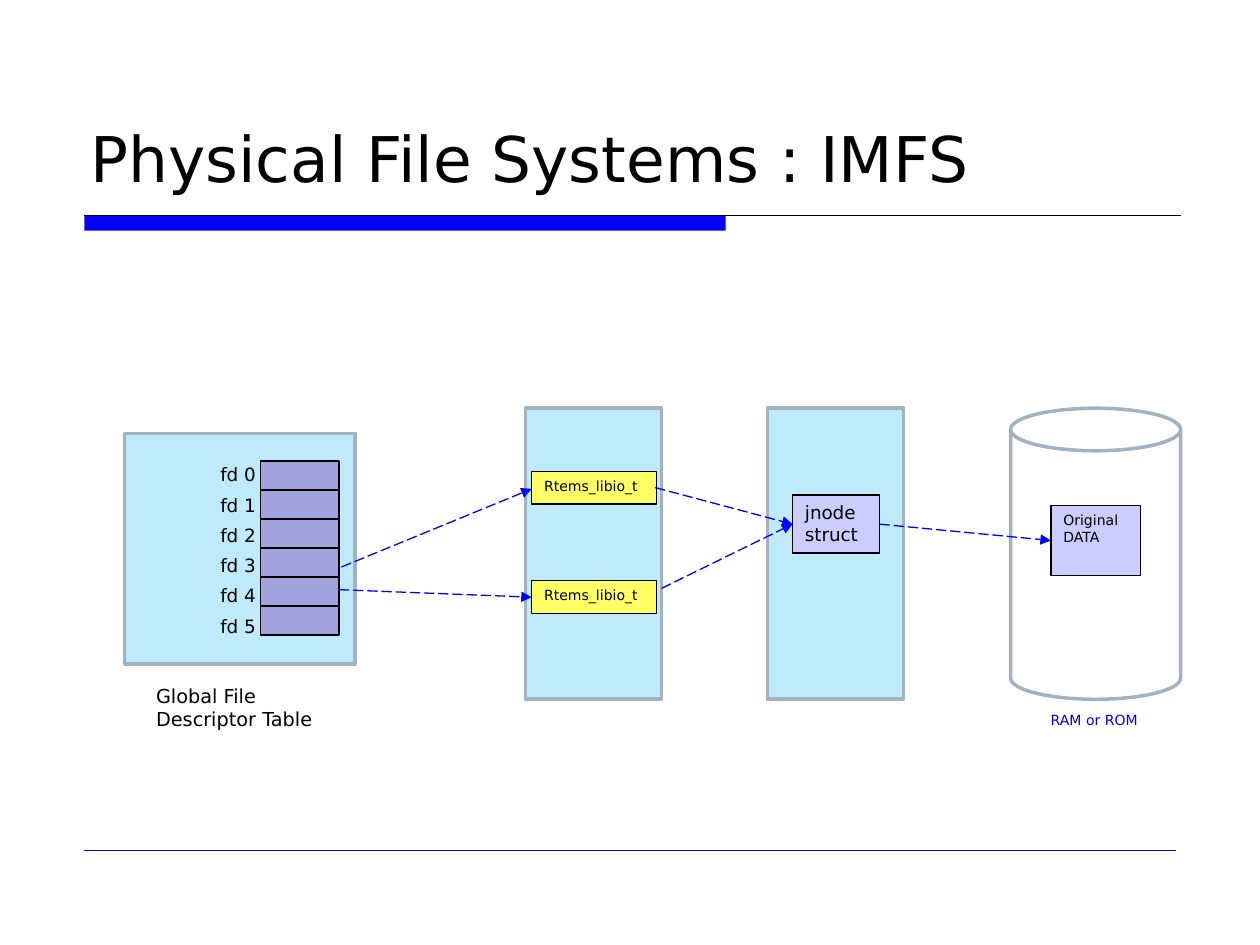
from lxml import etree
from pptx import Presentation
from pptx.dml.color import RGBColor
from pptx.enum import dml, shapes, text
from pptx.oxml.ns import qn
from pptx.util import Inches, Pt

FONT = "DejaVu Sans"
BLUE, BLACK, GREY = "0000FF", "000000", "A3B2C1"
SKY, LILAC, YELLOW, PALE = "BFEAFA", "A3A3E0", "FFFF66", "CCCCFF"
RECT, CAN = shapes.MSO_SHAPE.RECTANGLE, shapes.MSO_SHAPE.CAN
rgb = RGBColor.from_string

deck = Presentation()
deck.slide_width, deck.slide_height = Inches(10), Inches(7.5)
slide = deck.slides.add_slide(deck.slide_layouts[5])


def box(place, fill=None, edge=None, weight=0.75, kind=RECT, words="", size=8, ink=BLACK):
    """Add a filled shape, or a plain text box when there is no fill."""
    area = [Inches(n) for n in place]
    if fill:
        item = slide.shapes.add_shape(kind, *area)
        item.shadow.inherit = False
        item.fill.solid()
        item.fill.fore_color.rgb = rgb(fill)
        if edge:
            item.line.color.rgb = rgb(edge)
            item.line.width = Pt(weight)
        else:
            item.line.fill.background()
    else:
        item = slide.shapes.add_textbox(*area)
    if words:
        frame = item.text_frame
        frame.word_wrap = True
        frame.vertical_anchor = text.MSO_ANCHOR.TOP
        frame.text = words
        for para in frame.paragraphs:
            para.alignment = text.PP_ALIGN.LEFT
            para.font.name, para.font.size = FONT, Pt(size)
            para.font.color.rgb = rgb(ink)


def link(start, end, color=BLUE, weight=0.75, arrow=False):
    ends = [Inches(n) for n in (*start, *end)]
    wire = slide.shapes.add_connector(shapes.MSO_CONNECTOR.STRAIGHT, *ends)
    wire.line.color.rgb = rgb(color)
    wire.line.width = Pt(weight)
    if arrow:
        wire.line.dash_style = dml.MSO_LINE.LONG_DASH
        tail = etree.SubElement(wire.line._get_or_add_ln(), qn("a:tailEnd"))
        tail.set("type", "triangle")
    etree.SubElement(wire._element.spPr, qn("a:effectLst"))


# Title and rules
box((0.67, 1.71, 5.09, 0.12), BLUE)
link((0.67, 1.71), (9.37, 1.71), BLACK)
link((0.67, 6.75), (9.33, 6.75), weight=0.25)

title = slide.shapes.title
title.left, title.top = Inches(0.62), Inches(0.27)
title.width, title.height = Inches(8.75), Inches(1.33)
frame = title.text_frame
frame.text = "Physical File Systems : IMFS"
frame.auto_size = text.MSO_AUTO_SIZE.NONE
frame.vertical_anchor = text.MSO_ANCHOR.BOTTOM
head = frame.paragraphs[0]
head.alignment = text.PP_ALIGN.LEFT
head.font.name, head.font.size = FONT, Pt(36)
head.font.color.rgb = rgb(BLACK)

# Descriptor table
box((0.99, 3.44, 1.83, 1.83), SKY, GREY, 2)
for i in range(6):
    box((2.07, 3.66 + 0.23 * i, 0.62, 0.23), LILAC, BLACK)
    box((1.65, 3.63 + 0.24 * i, 0.52, 0.23), words=f"fd {i}", size=10.5)
box((1.14, 5.38, 1.53, 0.47), words="Global File Descriptor Table", size=11)

# Columns and storage
for x in (4.17, 6.09):
    box((x, 3.24, 1.08, 2.31), SKY, GREY, 2)
box((8.02, 3.24, 1.35, 2.31), "FFFFFF", GREY, 2, CAN)

for y in (3.74, 4.61):
    box((4.22, y, 0.99, 0.26), YELLOW, BLACK, words="Rtems_libio_t")
box((6.29, 3.93, 0.69, 0.46), PALE, BLACK, words="jnode struct", size=10.5)
box((8.34, 4.01, 0.71, 0.56), PALE, BLACK, words="Original\nDATA")
box((8.24, 5.6, 0.95, 0.24), words="RAM or ROM", ink=BLUE)

# Path from descriptor to data
for start, end in (
    ((2.71, 4.5), (4.22, 3.88)),
    ((2.69, 4.68), (4.22, 4.74)),
    ((5.2, 3.87), (6.29, 4.16)),
    ((5.25, 4.67), (6.29, 4.16)),
    ((6.98, 4.16), (8.34, 4.29)),
):
    link(start, end, arrow=True)

deck.save("out.pptx")
